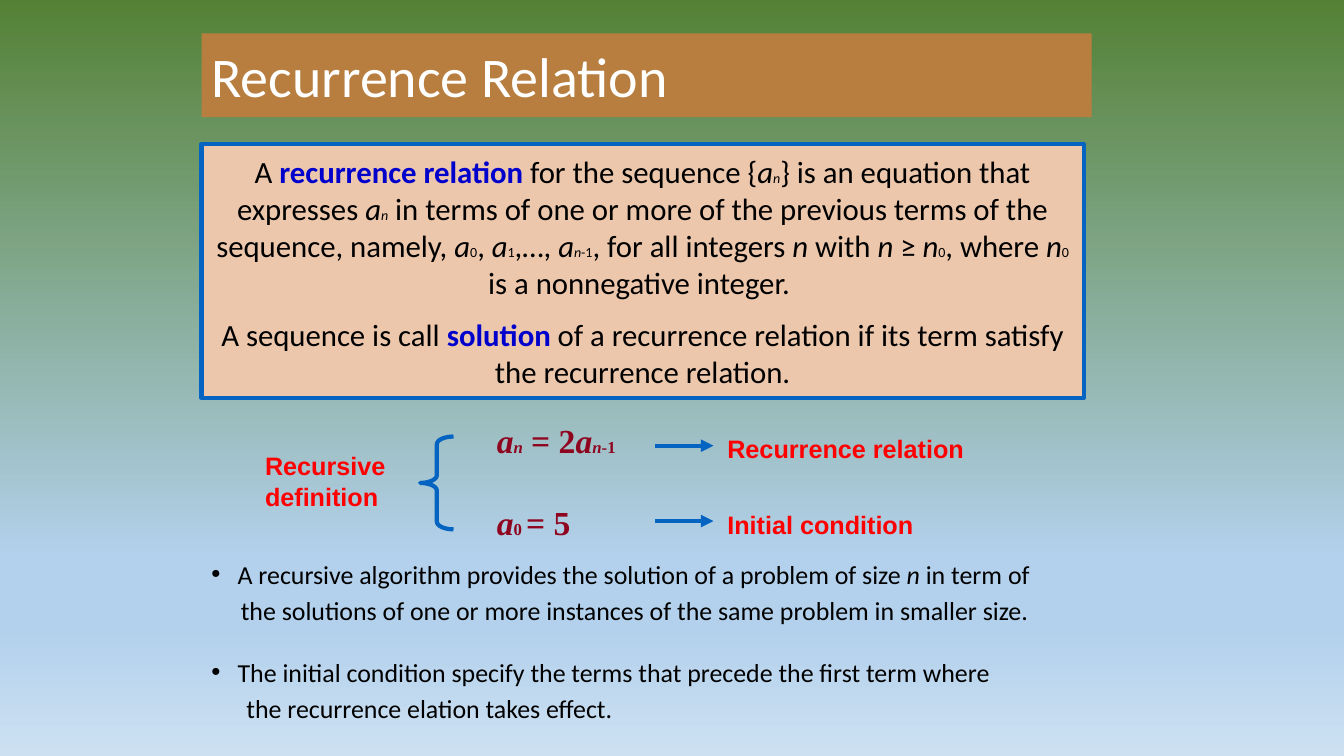
from lxml.etree import SubElement
from pptx import Presentation
from pptx.dml.color import RGBColor
from pptx.enum.shapes import MSO_CONNECTOR, MSO_SHAPE
from pptx.enum.text import MSO_ANCHOR, MSO_AUTO_SIZE, PP_ALIGN
from pptx.oxml.ns import qn
from pptx.util import Cm, Pt

BLACK = RGBColor(0x00, 0x00, 0x00)
WHITE = RGBColor(0xFF, 0xFF, 0xFF)
BROWN = RGBColor(0xB8, 0x7E, 0x3F)
PEACH = RGBColor(0xEC, 0xC7, 0xAC)
BLUE = RGBColor(0x05, 0x63, 0xC1)
KEYWORD_BLUE = RGBColor(0x00, 0x00, 0xCC)
MAROON = RGBColor(0x8F, 0x05, 0x1F)
RED = RGBColor(0xFF, 0x00, 0x00)
BACKGROUND_STOPS = [(0, "548135"), (74, "B3D1EC"), (83, "B3D1EC"), (100, "CCE0F2")]

# Run styles: i italic, s small index, k keyword
TITLE = "Recurrence Relation"
DEFINITION = [
    [("A ", ""), ("recurrence relation", "k"), (" for the sequence {", ""), ("a", "i"), ("n", "si"),
     ("} is an equation that expresses ", ""), ("a", "i"), ("n", "si"),
     (" in terms of one or more of the previous terms of the sequence, namely, ", ""),
     ("a", "i"), ("0", "s"), (", ", ""), ("a", "i"), ("1", "s"), (",…, ", ""),
     ("a", "i"), ("n", "si"), ("-1", "s"), (", for all integers ", ""), ("n", "i"),
     (" with ", ""), ("n", "i"), (" ≥ ", ""), ("n", "i"), ("0", "s"), (", where ", ""),
     ("n", "i"), ("0", "s"), (" is a nonnegative integer. ", "")],
    [("A sequence is call ", ""), ("solution", "k"),
     (" of a recurrence relation if its term satisfy the recurrence relation.", "")],
]
EQUATIONS = [
    [("a", "i"), ("n", "si"), (" = 2", ""), ("a", "i"), ("n", "si"), ("-1", "s")],
    [("a", "i"), ("0 ", "s"), ("= 5", "")],
]
BRACE_LABEL = ["Recursive", "definition"]
ARROW_LABELS = ["Recurrence relation", "Initial condition"]
NOTES = [
    ([("A recursive algorithm provides the solution of a problem of size ", ""), ("n", "i"),
      (" in term of", "")], 0.66, 0, True),
    ([("the solutions of one or more instances of the same problem in smaller size.", "")],
     0.74, 10, False),
    ([("The initial condition specify the terms that precede the first term where", "")],
     0.66, 29, True),
    ([("the recurrence elation takes effect.", "")], 0.88, 10, False),
]


def write_paragraph(paragraph, runs, font_name, size, color, small=None, bold=False):
    paragraph.font.name = font_name
    paragraph.font.size = Pt(size)
    paragraph.font.bold = bold
    paragraph.font.color.rgb = color
    for text, style in runs:
        run = paragraph.add_run()
        run.text = text
        if "i" in style:
            run.font.italic = True
        if "s" in style:
            run.font.size = Pt(small)
        if "k" in style:
            run.font.bold = True
            run.font.color.rgb = KEYWORD_BLUE


def paragraphs_for(frame, count):
    return [frame.paragraphs[0]] + [frame.add_paragraph() for _ in range(count - 1)]


def add_text(left, top, width, height):
    box = slide.shapes.add_textbox(Cm(left), Cm(top), Cm(width), Cm(height))
    box.text_frame.word_wrap = True
    return box.text_frame


def add_label(lines, left, top, width, height):
    frame = add_text(left, top, width, height)
    for paragraph, line in zip(paragraphs_for(frame, len(lines)), lines):
        write_paragraph(paragraph, [(line, "")], "Arial", 18, RED, bold=True)


def outline(shape):
    shape.line.color.rgb = BLUE
    shape.line.width = Pt(3)


presentation = Presentation()
presentation.slide_width, presentation.slide_height = Cm(33.87), Cm(19.05)
slide = presentation.slides.add_slide(presentation.slide_layouts[5])

background = slide.background.fill
background.gradient()
background.gradient_angle = 270
stop_list = next(slide.element.iter(qn("a:gsLst")))
for stop in list(stop_list):
    stop_list.remove(stop)
for position, color in BACKGROUND_STOPS:
    stop = SubElement(stop_list, qn("a:gs"), pos=str(position * 1000))
    SubElement(stop, qn("a:srgbClr"), val=color)

title = slide.shapes.title
title.left, title.top, title.width, title.height = Cm(5.08), Cm(0.84), Cm(22.43), Cm(2.11)
title.fill.solid()
title.fill.fore_color.rgb = BROWN
title.text_frame.auto_size = MSO_AUTO_SIZE.NONE
title.text_frame.vertical_anchor = MSO_ANCHOR.MIDDLE
title_paragraph = title.text_frame.paragraphs[0]
title_paragraph.alignment = PP_ALIGN.LEFT
write_paragraph(title_paragraph, [(TITLE, "")], "Calibri", 40, WHITE)

definition = slide.shapes.add_shape(MSO_SHAPE.RECTANGLE, Cm(5.08), Cm(3.63), Cm(22.23), Cm(6.4))
definition.shadow.inherit = False
definition.fill.solid()
definition.fill.fore_color.rgb = PEACH
outline(definition)
definition.text_frame.word_wrap = True
definition.text_frame.vertical_anchor = MSO_ANCHOR.MIDDLE
for index, paragraph in enumerate(paragraphs_for(definition.text_frame, len(DEFINITION))):
    paragraph.alignment = PP_ALIGN.CENTER
    paragraph.space_before = Pt(11 * index)
    write_paragraph(paragraph, DEFINITION[index], "Calibri", 22, BLACK, small=10)

equations = add_text(12.27, 10.46, 5.64, 3.33)
for index, paragraph in enumerate(paragraphs_for(equations, len(EQUATIONS))):
    paragraph.space_before = Pt(30 * index)
    write_paragraph(paragraph, EQUATIONS[index], "Times New Roman", 24, MAROON, small=12, bold=True)

add_label(BRACE_LABEL, 6.43, 11.23, 3.73, 1.78)
brace = slide.shapes.add_shape(MSO_SHAPE.LEFT_BRACE, Cm(10.59), Cm(11), Cm(0.84), Cm(2.34))
brace.shadow.inherit = False
brace.adjustments[0], brace.adjustments[1] = 0.23, 0.5
brace.fill.background()
outline(brace)

for index, label in enumerate(ARROW_LABELS):
    offset = 1.9 * index
    add_label([label], 18.08, 10.8 + offset, 6.6, 1.02)
    level = Cm(11.23 + offset)
    arrow = slide.shapes.add_connector(MSO_CONNECTOR.STRAIGHT, Cm(16.51), level, Cm(17.98), level)
    outline(arrow)
    SubElement(arrow.line._get_or_add_ln(), qn("a:tailEnd"), type="triangle")
    SubElement(arrow.element.spPr, qn("a:effectLst"))

notes = add_text(5.08, 14.17, 23.06, 4.45)
for paragraph, (runs, margin, gap, bulleted) in zip(paragraphs_for(notes, len(NOTES)), NOTES):
    paragraph.line_spacing = 0.7
    paragraph.space_before = Pt(gap)
    properties = paragraph._p.get_or_add_pPr()
    properties.set("marL", str(Cm(margin)))
    if bulleted:
        properties.set("indent", str(-Cm(margin)))
        SubElement(properties, qn("a:buFont"), typeface="Arial")
        SubElement(properties, qn("a:buChar"), char="•")
    write_paragraph(paragraph, runs, "Calibri", 18.5, BLACK)

presentation.save("out.pptx")
